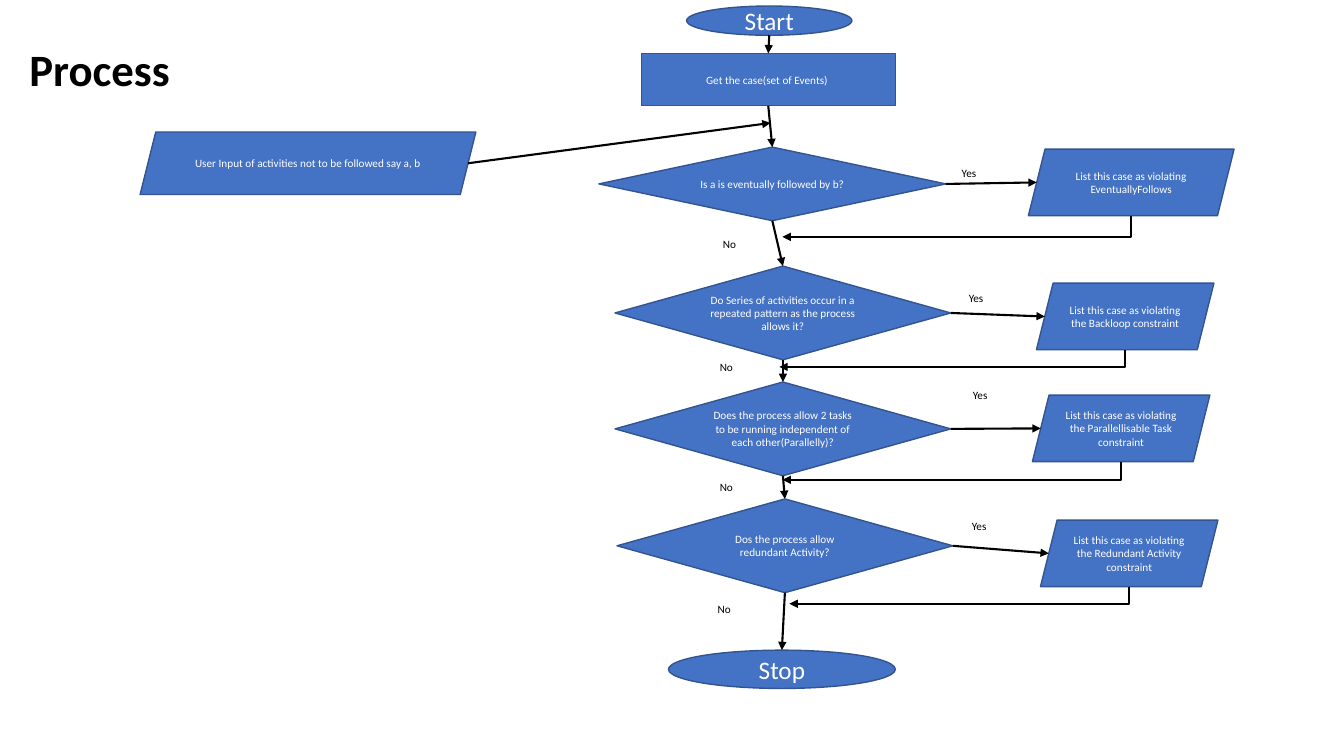
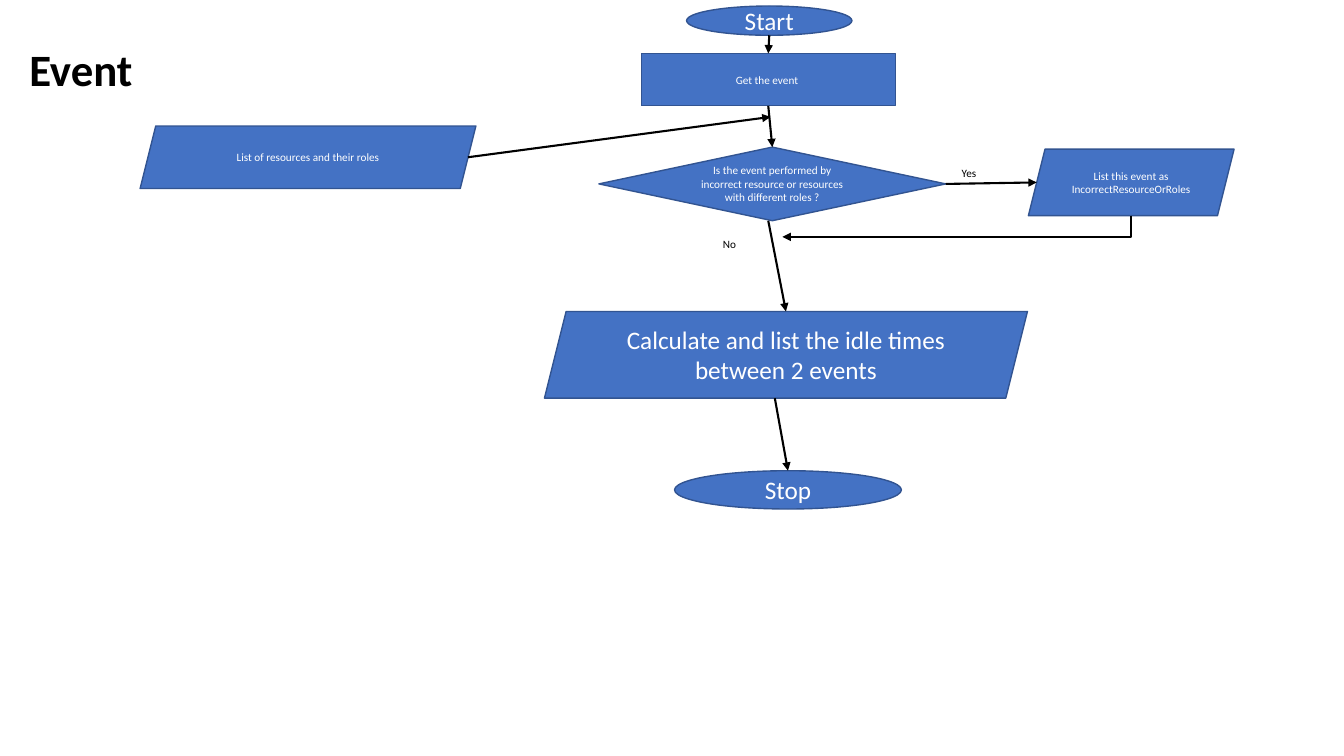
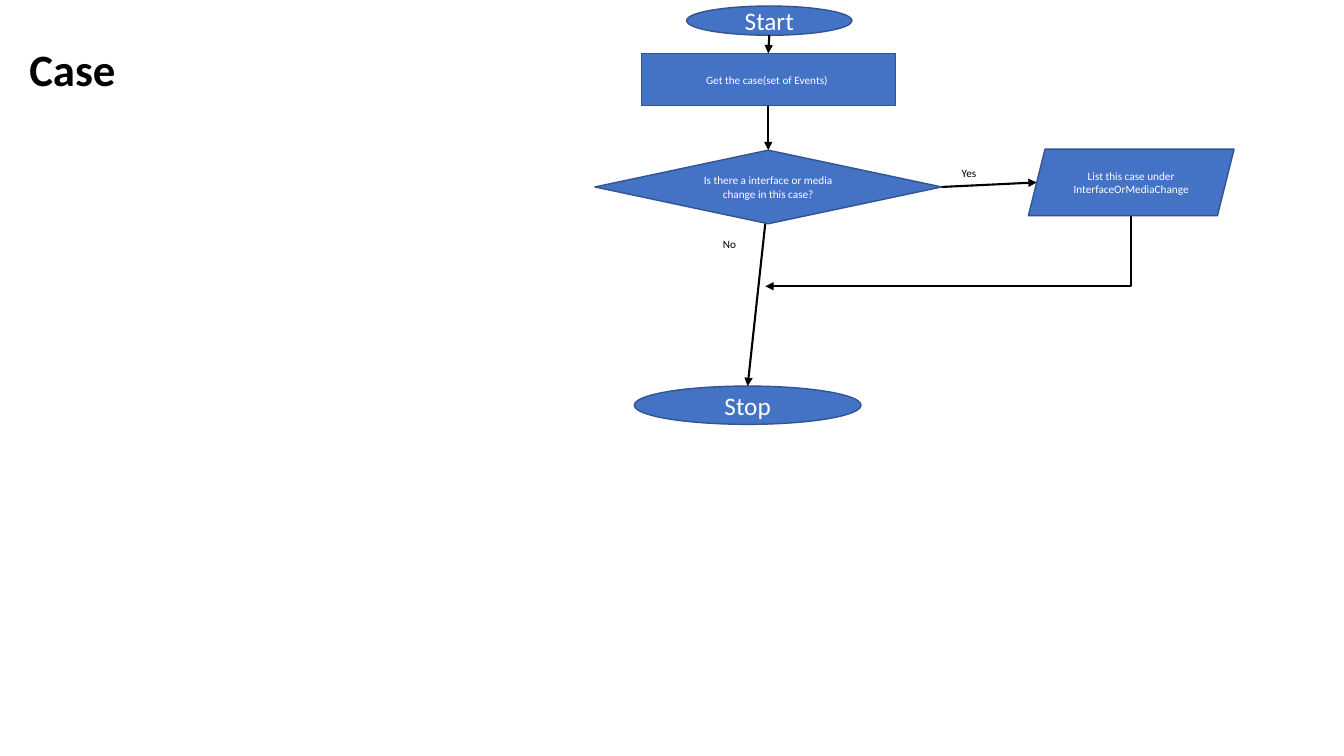
"""Three flowcharts that check processes, events and cases."""
from lxml import etree
from pptx import Presentation
from pptx.dml.color import RGBColor
from pptx.enum.shapes import MSO_CONNECTOR, MSO_SHAPE
from pptx.enum.text import MSO_ANCHOR, MSO_AUTO_SIZE, PP_ALIGN
from pptx.oxml.ns import qn
from pptx.util import Inches, Pt

STRAIGHT, ELBOW = MSO_CONNECTOR.STRAIGHT, MSO_CONNECTOR.ELBOW
OVAL, RECT = MSO_SHAPE.OVAL, MSO_SHAPE.RECTANGLE
DIAMOND, SLANTED = MSO_SHAPE.DIAMOND, MSO_SHAPE.PARALLELOGRAM
LEFT, CENTER = PP_ALIGN.LEFT, PP_ALIGN.CENTER
MIDDLE = MSO_ANCHOR.MIDDLE
NO_FIT, GROW = MSO_AUTO_SIZE.NONE, MSO_AUTO_SIZE.SHAPE_TO_FIT_TEXT

BLUE = RGBColor(0x44, 0x72, 0xC4)
DARK_BLUE = RGBColor(0x32, 0x54, 0x91)
WHITE = RGBColor(0xFF, 0xFF, 0xFF)
BLACK = RGBColor(0x00, 0x00, 0x00)
FONT = "Calibri"
SMALL, LARGE, HEADING = 8, 18, 32

GRID = Inches(1)
COLUMNS, ROWS = 13.33, 7.5
TITLE_BOX = (0.19, -0.01, 11.5, 1.45)
LABEL_SIZE = (0.69, 0.24)
STOP_SIZE = (2.25, 0.38)
WIDE_DIAMOND = (3.44, 0.73)
TALL_DIAMOND = (3.33, 0.93)
NARROW_RESULT = (1.76, 0.66)
TOP_RESULT = (10.2, 1.48, 2.04, 0.66)
TOP_YES, TOP_NO = (9.44, 1.6), (7.07, 2.31)


def grid(*cells):
    """Convert columns and rows of the grid to slide lengths."""
    return [round(cell * GRID) for cell in cells]


def write(tf, text, size, color, align=LEFT, bold=False):
    """Write one formatted run into a text frame."""
    tf.word_wrap = True
    p = tf.paragraphs[0]
    p.alignment = align
    r = p.add_run()
    r.text = text
    r.font.name, r.font.size, r.font.bold = FONT, Pt(size), bold
    r.font.color.rgb = color
    return p


def node(s, kind, text, box, size=SMALL):
    """Add a blue flowchart node with centred text."""
    sp = s.shapes.add_shape(kind, *grid(*box))
    sp.shadow.inherit = False
    sp.fill.solid()
    sp.fill.fore_color.rgb = BLUE
    sp.line.color.rgb = DARK_BLUE
    sp.line.width = Pt(1)
    sp.text_frame.vertical_anchor = MIDDLE
    write(sp.text_frame, text, size, WHITE, CENTER)
    return sp


def label(s, text, place):
    """Add a small branch label."""
    sp = s.shapes.add_textbox(*grid(*place, *LABEL_SIZE))
    sp.text_frame.auto_size = GROW
    write(sp.text_frame, text, SMALL, BLACK)


def top(sp):
    """Return the middle of a node's top edge."""
    return sp.left + sp.width // 2, sp.top


def bottom(sp):
    """Return the middle of a node's bottom edge."""
    return sp.left + sp.width // 2, sp.top + sp.height


def slant(sp):
    """Return how far a slanted side's middle lies inside its box."""
    return round(sp.adjustments[0] * sp.height / 2)


def arrow(s, start, end, kind=STRAIGHT):
    """Add a black connector with a triangular head."""
    line = s.shapes.add_connector(kind, *start, *end)
    line.line.color.rgb = BLACK
    line.line.width = Pt(1.5)
    ln = line.line._get_or_add_ln()
    etree.SubElement(ln, qn("a:tailEnd"), type="triangle")
    etree.SubElement(line.element.spPr, qn("a:effectLst"))
    return line


def down(s, upper, lower, shift=0):
    """Join two nodes downwards, starting a shift away from the middle."""
    x, y = bottom(upper)
    arrow(s, (x + round(shift * GRID), y), top(lower))


def merge(s, result, column, row):
    """Lead a result down and then left, back to the main flow."""
    x, y = bottom(result)
    end_x, end_y = grid(column, row)
    run, drop = x - end_x, end_y - y
    left, upper = (x + end_x - drop) // 2, (y + end_y - run) // 2
    line = arrow(s, (left, upper), (left + drop, upper + run), ELBOW)
    sppr = line.element.spPr
    sppr.find(qn("a:xfrm")).set("rot", str(90 * 60000))
    sppr.find(qn("a:prstGeom")).set("prst", "bentConnector2")


def decision(s, question, box, result, result_box, yes, no, back):
    """Add a question with its violating result and return the diamond."""
    diamond = node(s, DIAMOND, question, box)
    outcome = node(s, SLANTED, result, result_box)
    arrow(s, (diamond.left + diamond.width, diamond.top + diamond.height // 2),
          (outcome.left + slant(outcome), outcome.top + outcome.height // 2))
    label(s, "Yes", yes)
    label(s, "No", no)
    merge(s, outcome, *back)
    return diamond


def user_input(s, text, row):
    """Add an input whose arrow rises to the main flow."""
    sp = node(s, SLANTED, text, (1.39, row, 3.33, 0.62))
    x, y = sp.left + sp.width - slant(sp), sp.top + sp.height // 2
    run, rise = grid(3, 0.4)
    arrow(s, (x, y), (x + run, y - rise))


def stop(s, column, row):
    """Add the closing node."""
    return node(s, OVAL, "Stop", (column, row, *STOP_SIZE), LARGE)


def new_chart(prs, title, task):
    """Add a slide with its title and first two nodes; return it and the task."""
    s = prs.slides.add_slide(prs.slide_layouts[5])
    tf = s.shapes.title.text_frame
    tf.auto_size = NO_FIT
    tf.vertical_anchor = MIDDLE
    write(tf, title, HEADING, BLACK, bold=True).line_spacing = 0.9
    start = node(s, OVAL, "Start", (6.81, 0.06, 1.64, 0.29), LARGE)
    step = node(s, RECT, task, (6.36, 0.53, 2.52, 0.52))
    down(s, start, step)
    return s, step


def process_slide(prs):
    """Build the chart of the four process checks."""
    s, last = new_chart(prs, "Process", "Get the case(set of Events) ")
    user_input(s, "User Input of activities not to be followed say a, b", 1.31)
    checks = [
        ("Is a is eventually followed by b?", (5.94, 1.46, *WIDE_DIAMOND),
         "List this case as violating EventuallyFollows", TOP_RESULT,
         TOP_YES, TOP_NO, (7.76, 2.35)),
        ("Do Series of activities occur in a repeated pattern as the process "
         "allows it?", (6.1, 2.64, *TALL_DIAMOND),
         "List this case as violating the Backloop constraint",
         (10.28, 2.81, *NARROW_RESULT), (9.51, 2.84), (7.04, 3.53), (7.73, 3.64)),
        ("Does the process allow 2 tasks to be running independent of each "
         "other(Parallelly)?", (6.1, 3.79, *TALL_DIAMOND),
         "List this case as violating the Parallellisable Task constraint",
         (10.24, 3.92, *NARROW_RESULT), (9.55, 3.8), (7.04, 4.72), (7.76, 4.76)),
        ("Dos the process allow redundant Activity?", (6.12, 4.95, *TALL_DIAMOND),
         "List this case as violating the Redundant Activity constraint",
         (10.32, 5.16, *NARROW_RESULT), (9.54, 5.1), (7.02, 5.93), (7.83, 5.99)),
    ]
    for check in checks:
        diamond = decision(s, *check)
        down(s, last, diamond)
        last = diamond
    down(s, last, stop(s, 6.63, 6.45))


def event_slide(prs):
    """Build the chart of the event check and idle times."""
    s, task = new_chart(prs, "Event", "Get the event ")
    user_input(s, "List of resources and their roles", 1.25)
    check = decision(
        s, "Is the event performed by incorrect resource or resources with "
        "different roles ?", (5.94, 1.46, *WIDE_DIAMOND),
        "List this event as IncorrectResourceOrRoles", TOP_RESULT,
        TOP_YES, TOP_NO, (7.76, 2.35))
    idle = node(s, SLANTED, "Calculate and list the idle times between 2 events",
                (5.4, 3.09, 4.79, 0.86), LARGE)
    down(s, task, check)
    down(s, check, idle, -0.04)
    down(s, idle, stop(s, 6.69, 4.67), -0.11)


def case_slide(prs):
    """Build the chart of the case check."""
    s, task = new_chart(prs, "Case", "Get the case(set of Events) ")
    check = decision(
        s, "Is there a interface or media change in this case?",
        (5.9, 1.49, *WIDE_DIAMOND),
        "List this case under InterfaceOrMediaChange", TOP_RESULT,
        TOP_YES, TOP_NO, (7.59, 2.84))
    down(s, task, check)
    down(s, check, stop(s, 6.29, 3.83), -0.03)


def main():
    """Build and save the presentation."""
    prs = Presentation()
    prs.slide_width, prs.slide_height = grid(COLUMNS, ROWS)
    title = prs.slide_layouts[5].placeholders[0]
    title.left, title.top, title.width, title.height = grid(*TITLE_BOX)
    process_slide(prs)
    event_slide(prs)
    case_slide(prs)
    prs.save("out.pptx")


main()
